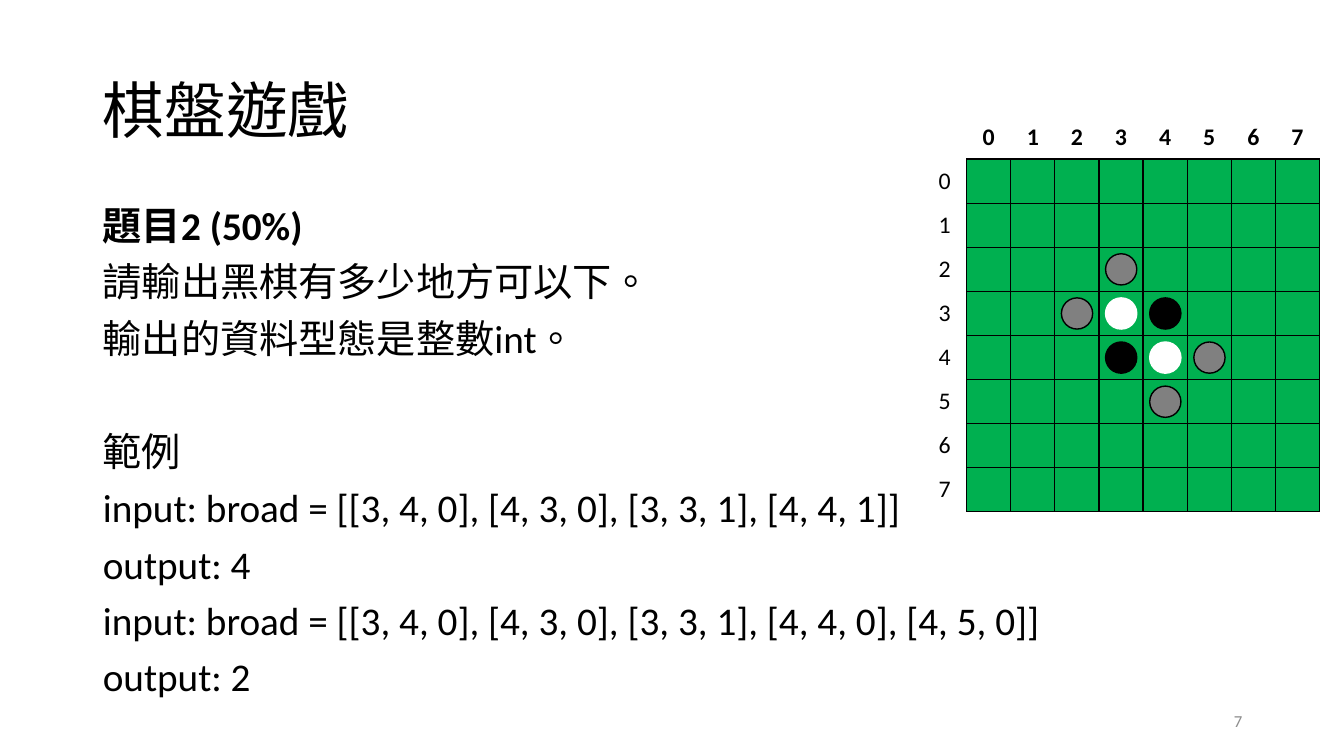
from lxml import etree
from pptx import Presentation
from pptx.dml.color import RGBColor
from pptx.enum.lang import MSO_LANGUAGE_ID
from pptx.enum.shapes import MSO_SHAPE
from pptx.enum.text import MSO_ANCHOR, MSO_AUTO_SIZE, PP_ALIGN
from pptx.oxml.ns import qn
from pptx.util import Inches, Pt

LEFT, CENTER, RIGHT = PP_ALIGN.LEFT, PP_ALIGN.CENTER, PP_ALIGN.RIGHT
TOP, MIDDLE = MSO_ANCHOR.TOP, MSO_ANCHOR.MIDDLE
OVAL = MSO_SHAPE.OVAL
NO_AUTOFIT = MSO_AUTO_SIZE.NONE
CHINESE = MSO_LANGUAGE_ID.TRADITIONAL_CHINESE

# Content
TITLE = "棋盤遊戲"
HEADING = "題目2 (50%)"
EXAMPLE = "範例"
BODY = [
    HEADING,
    "請輸出黑棋有多少地方可以下。",
    "輸出的資料型態是整數int。",
    EXAMPLE,
    "input: broad = [[3, 4, 0], [4, 3, 0], [3, 3, 1], [4, 4, 1]]",
    "output: 4",
    "input: broad = [[3, 4, 0], [4, 3, 0], [3, 3, 1], [4, 4, 0], [4, 5, 0]]",
    "output: 2",
]
PAGE_NUMBER = "7"
BOARD_SIZE = 8
DISCS = {  # kind: (row, column) positions
    "white": [(3, 3), (4, 4)],
    "black": [(4, 3), (3, 4)],
    "move": [(5, 4), (4, 5), (2, 3), (3, 2)],
}

THEME = {
    "font": "Calibri",
    "title": 44, "body": 28, "label": 17, "page": 12,
    "black": "000000", "white": "FFFFFF", "move": "808080",
    "board": "00B050", "page_color": "8C8C8C",
}

# Layout, in inches
TITLE_BOX = (0.92, 0.4, 11.5, 1.45)
BODY_BOX = (0.92, 2, 11.5, 5.5)
PAGE_BOX = (9.42, 6.95, 3, 0.4)
BOARD_LEFT, BOARD_TOP, BOARD_SIDE = 9.15, 1.14, 3.94
CELL = BOARD_SIDE / (BOARD_SIZE + 1)
DISC = 0.31


def color(name):
    return RGBColor.from_string(THEME[name])


def write(paragraph, text, size, ink="black", bold=False, **layout):
    run = paragraph.add_run()
    run.text = text
    style = {"name": THEME["font"], "size": Pt(THEME[size]), "bold": bold,
             "language_id": CHINESE}
    for key, value in style.items():
        setattr(run.font, key, value)
    run.font.color.rgb = color(ink)
    for key, value in layout.items():
        setattr(paragraph, key, value)


def place(shape, box, anchor):
    for key, value in zip(("left", "top", "width", "height"), box):
        setattr(shape, key, Inches(value))
    frame = shape.text_frame
    for key, value in {"word_wrap": True, "auto_size": NO_AUTOFIT,
                       "vertical_anchor": anchor}.items():
        setattr(frame, key, value)
    return frame


def add_borders(cell, sides):
    properties = cell._tc.get_or_add_tcPr()
    for side in sides:
        line = etree.SubElement(properties, qn(f"a:ln{side}"), w=str(Pt(1)))
        fill = etree.SubElement(line, qn("a:solidFill"))
        etree.SubElement(fill, qn("a:srgbClr"), val=THEME["black"])


prs = Presentation()
prs.slide_width, prs.slide_height = Inches(13.33), Inches(7.5)
slide = prs.slides.add_slide(prs.slide_layouts[1])
title, body = slide.placeholders

# Title
write(place(title, TITLE_BOX, MIDDLE).paragraphs[0], TITLE, "title",
      alignment=LEFT, line_spacing=0.9)

# Task and examples
body_frame = place(body, BODY_BOX, TOP)
for index, line in enumerate(BODY):
    paragraph = body_frame.add_paragraph() if index else body_frame.paragraphs[0]
    write(paragraph, line, "body", bold=line == HEADING, line_spacing=0.9,
          space_before=Pt(50.5 if line == EXAMPLE else 10))
    properties = paragraph._p.get_or_add_pPr()
    properties.set("marL", "0")
    properties.set("indent", "0")
    etree.SubElement(properties, qn("a:buNone"))

# Page number
page = slide.shapes.add_textbox(0, 0, 0, 0)
write(place(page, PAGE_BOX, MIDDLE).paragraphs[0], PAGE_NUMBER, "page",
      "page_color", alignment=RIGHT)

# Board with row and column labels
count = BOARD_SIZE + 1
board = slide.shapes.add_table(
    count, count, Inches(BOARD_LEFT), Inches(BOARD_TOP),
    Inches(BOARD_SIDE), Inches(BOARD_SIDE)).table
board.first_row = board.horz_banding = False
for row in range(count):
    for column in range(count):
        cell = board.cell(row, column)
        is_square = row > 0 and column > 0
        if is_square:
            add_borders(cell, "LRTB")
        elif row or column:
            add_borders(cell, "R" if row else "B")
            for key, value in {"vertical_anchor": MIDDLE,
                               "margin_left": Inches(0.08),
                               "margin_right": Inches(0.08),
                               "margin_top": Inches(0.04),
                               "margin_bottom": Inches(0.04)}.items():
                setattr(cell, key, value)
            write(cell.text_frame.paragraphs[0], str(max(row, column) - 1),
                  "label", bold=row == 0, alignment=CENTER)
        cell.fill.solid()
        cell.fill.fore_color.rgb = color("board" if is_square else "white")

# Discs, centred in their squares
inset = (CELL - DISC) / 2
for kind, positions in DISCS.items():
    for row, column in positions:
        disc = slide.shapes.add_shape(
            OVAL,
            Inches(BOARD_LEFT + (column + 1) * CELL + inset),
            Inches(BOARD_TOP + (row + 1) * CELL + inset),
            Inches(DISC), Inches(DISC))
        disc.shadow.inherit = False
        disc.fill.solid()
        disc.fill.fore_color.rgb = color(kind)
        disc.line.color.rgb = color("white" if kind == "white" else "black")
        disc.line.width = Pt(1)

prs.save("out.pptx")
